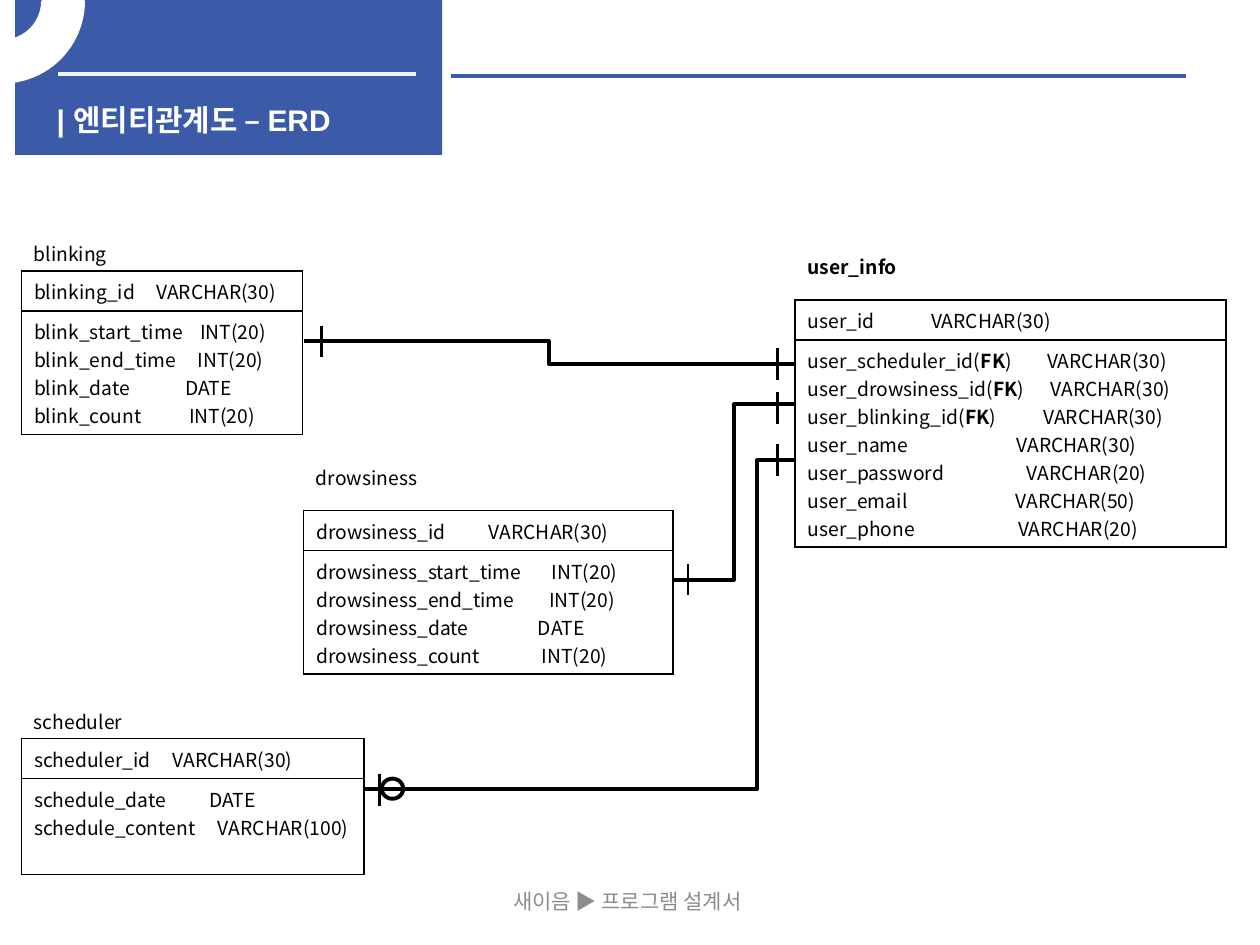
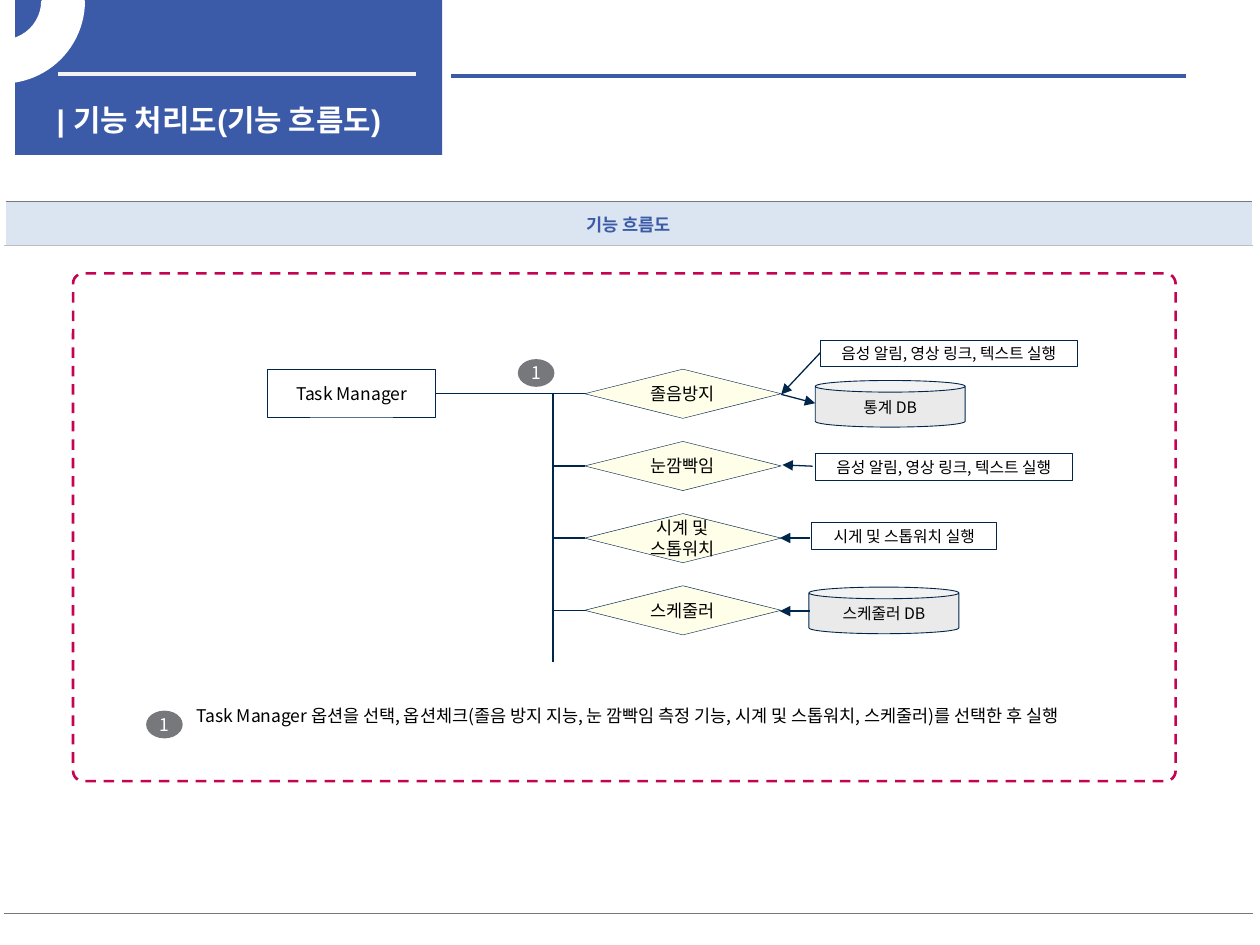
import dataclasses

import pptx
import pptx.dml.color
import pptx.enum.dml
import pptx.enum.shapes
import pptx.enum.text
import pptx.oxml.ns
import pptx.util
from lxml import etree

Inches = pptx.util.Inches
Pt = pptx.util.Pt
qn = pptx.oxml.ns.qn
Shape = pptx.enum.shapes.MSO_SHAPE
Connector = pptx.enum.shapes.MSO_CONNECTOR
Align = pptx.enum.text.PP_ALIGN
Anchor = pptx.enum.text.MSO_ANCHOR


@dataclasses.dataclass(frozen=True)
class Theme:
    font: str = "Noto Sans CJK KR"
    title_font: str = "Arial"
    blue: str = "3B5AA8"
    white: str = "FFFFFF"
    black: str = "000000"
    pale: str = "F2F2F2"
    footer: str = "8C8C8C"
    navy: str = "00264C"
    cream: str = "FFFFE9"
    silver: str = "EAEAEA"
    gray: str = "77787B"
    rule: str = "BFBFBF"
    header: str = "B9CDE5"
    crimson: str = "C40452"
    title_size: float = 17
    footer_size: float = 12
    entity_size: float = 11
    flow_size: float = 10
    detail_size: float = 9


THEME = Theme()

ERD_TITLE = "| 엔티티관계도 – ERD"
FOOTER = "새이음 ▶ 프로그램 설계서"
FK = "(FK)"

# Each field: name, type, distance of the type from the text edge in inches.
ENTITIES = [
    dict(name="user_info", bold=True, label_top=1.98, at=(6.31, 2.38), width=3.42, fields=[
        ("user_id", "VARCHAR(30)", 0.98),
        ("user_scheduler_id" + FK, "VARCHAR(30)", 1.9),
        ("user_drowsiness_id" + FK, "VARCHAR(30)", 1.93),
        ("user_blinking_id" + FK, "VARCHAR(30)", 1.87),
        ("user_name", "VARCHAR(30)", 1.66),
        ("user_password", "VARCHAR(20)", 1.74),
        ("user_email", "VARCHAR(50)", 1.65),
        ("user_phone", "VARCHAR(20)", 1.67)]),
    dict(name="drowsiness", bold=False, label_top=3.65, at=(2.41, 4.05), width=2.93, fields=[
        ("drowsiness_id", "VARCHAR(30)", 1.37),
        ("drowsiness_start_time", "INT(20)", 1.87),
        ("drowsiness_end_time", "INT(20)", 1.85),
        ("drowsiness_date", "DATE", 1.76),
        ("drowsiness_count", "INT(20)", 1.79)]),
    dict(name="blinking", bold=False, label_top=1.87, at=(0.17, 2.15), width=2.23, fields=[
        ("blinking_id", "VARCHAR(30)", 0.97),
        ("blink_start_time", "INT(20)", 1.32),
        ("blink_end_time", "INT(20)", 1.3),
        ("blink_date", "DATE", 1.2),
        ("blink_count", "INT(20)", 1.23)]),
    dict(name="scheduler", bold=False, label_top=5.59, at=(0.17, 5.86), width=2.72, fields=[
        ("scheduler_id", "VARCHAR(30)", 1.1),
        ("schedule_date", "DATE", 1.39),
        ("schedule_content", "VARCHAR(100)", 1.46)]),
]
# Start, end, and the share of the width at which the line bends.
RELATIONS = [
    ((2.41, 2.71), (6.3, 2.89), 0.5),
    ((5.34, 4.6), (6.31, 3.21), 0.5),
    ((2.89, 6.26), (6.3, 3.65), 0.915),
]
TICK_CENTERS = [(2.55, 2.71), (6.17, 3.65), (6.17, 3.24), (6.17, 2.89), (5.46, 4.6), (3.01, 6.27)]
TICK_LENGTH = 0.25
OPTIONAL_RING = (3.03, 6.18, 0.17, 0.16)

FLOW_TITLE = "| 기능 처리도(기능 흐름도)"
FLOW_HEADER = "기능 흐름도"
MANAGER = "Task Manager"
DECISIONS = ["졸음방지", "눈깜빡임", "시계 및\n스톱워치", "스케줄러"]
ALERTS = "음성 알림, 영상 링크, 텍스트 실행"
ACTIONS = [
    (ALERTS, (6.51, 2.7, 2.04, 0.21)),
    (ALERTS, (6.47, 3.6, 2.04, 0.21)),
    ("시게 및 스톱워치 실행", (6.44, 4.15, 1.47, 0.21)),
]
DATABASES = [
    ("통계 DB", (6.47, 3.02, 1.19, 0.37)),
    ("스케줄러 DB", (6.42, 4.66, 1.19, 0.37)),
]
# Each arrow: tip, tail.
ARROWS = [
    ((6.2, 3.13), (6.51, 2.8)),
    ((6.47, 3.2), (6.2, 3.13)),
    ((6.21, 3.69), (6.45, 3.7)),
    ((6.19, 4.27), (6.43, 4.27)),
    ((6.19, 4.85), (6.43, 4.85)),
]
STEP = "1"
STEP_MARKERS = [(4.11, 2.85), (1.16, 5.64)]
CAPTION = ("Task Manager 옵션을 선택, 옵션체크(졸음 방지 지능, 눈 깜빡임 측정 기능, "
           "시계 및 스톱워치, 스케줄러)를 선택한 후 실행")


def rgb(color):
    return pptx.dml.color.RGBColor.from_string(color)


def inches(values):
    return [Inches(value) for value in values]


def add_run(paragraph, text, size, color=THEME.black, bold=False, font=THEME.font):
    run = paragraph.add_run()
    run.text = text
    run.font.size = Pt(size)
    run.font.bold = bold
    run.font.color.rgb = rgb(color)
    run.font.name = font
    etree.SubElement(run.font._rPr, qn("a:ea")).set("typeface", THEME.font)


def write_lines(frame, text, size, align=Align.CENTER, **style):
    for index, line in enumerate(text.split("\n")):
        paragraph = frame.add_paragraph() if index else frame.paragraphs[0]
        paragraph.alignment = align
        add_run(paragraph, line, size, **style)


def add_text(slide, at, text, size, align=Align.LEFT, anchor=Anchor.TOP, **style):
    frame = slide.shapes.add_textbox(*inches(at)).text_frame
    frame.word_wrap = True
    frame.vertical_anchor = anchor
    write_lines(frame, text, size, align, **style)
    return frame


def add_shape(slide, kind, at, fill=None, line=None, width=0.5, text="", size=0, color=THEME.black):
    shape = slide.shapes.add_shape(kind, *inches(at))
    shape.shadow.inherit = False
    if fill:
        shape.fill.solid()
        shape.fill.fore_color.rgb = rgb(fill)
    else:
        shape.fill.background()
    if line:
        shape.line.color.rgb = rgb(line)
        shape.line.width = Pt(width)
    else:
        shape.line.fill.background()
    if text:
        frame = shape.text_frame
        frame.vertical_anchor = Anchor.MIDDLE
        frame.margin_left = frame.margin_right = Inches(0.04)
        frame.margin_top = frame.margin_bottom = Inches(0.04)
        write_lines(frame, text, size, color=color)
    return shape


def add_line(slide, start, end, color, width, kind=Connector.STRAIGHT, bend=0.5, arrow=False):
    """Draw a connector; an arrow has its tip at the start."""
    connector = slide.shapes.add_connector(kind, *inches(start + end))
    connector.line.color.rgb = rgb(color)
    connector.line.width = Pt(width)
    properties = connector.element.spPr
    if arrow:
        etree.SubElement(connector.line._get_or_add_ln(), qn("a:headEnd")).set("type", "triangle")
    if bend != 0.5:
        guide = etree.SubElement(properties.find(qn("a:prstGeom")).find(qn("a:avLst")), qn("a:gd"))
        guide.set("name", "adj1")
        guide.set("fmla", f"val {round(bend * 100000)}")
    etree.SubElement(properties, qn("a:effectLst"))


def set_borders(cell, left, right, top, bottom):
    """Give the four sides 1 pt lines; call before the cell's fill is set."""
    properties = cell._tc.get_or_add_tcPr()
    for side, color in zip("LRTB", (left, right, top, bottom)):
        line = etree.SubElement(properties, qn("a:ln" + side))
        line.set("w", str(Pt(1)))
        fill = etree.SubElement(line, qn("a:solidFill"))
        etree.SubElement(fill, qn("a:srgbClr")).set("val", color)


def add_table(slide, left, top, width, heights):
    """Add a plain one-column table and return its cells."""
    frame = slide.shapes.add_table(len(heights), 1, *inches((left, top, width, sum(heights))))
    table = frame.table
    table.first_row = table.horz_banding = False
    for row, height in zip(table.rows, heights):
        row.height = Inches(height)
    return [table.cell(row, 0) for row in range(len(heights))]


def add_field(paragraph, name, kind, tab):
    stops = etree.SubElement(paragraph._p.get_or_add_pPr(), qn("a:tabLst"))
    stop = etree.SubElement(stops, qn("a:tab"))
    stop.set("pos", str(Inches(tab)))
    stop.set("algn", "l")
    size = THEME.entity_size
    if name.endswith(FK):
        add_run(paragraph, name.removesuffix("FK)"), size)
        add_run(paragraph, "FK", size, bold=True)
        add_run(paragraph, ")\t" + kind, size)
    else:
        add_run(paragraph, f"{name}\t{kind}", size)


def add_entity(slide, entity):
    left, top = entity["at"]
    key, *others = entity["fields"]
    heights = (0.32, 0.1 + 0.22 * max(3, len(others)))
    for cell, fields in zip(add_table(slide, left, top, entity["width"], heights), ([key], others)):
        set_borders(cell, *[THEME.black] * 4)
        cell.fill.background()
        for index, field in enumerate(fields):
            frame = cell.text_frame
            add_field(frame.add_paragraph() if index else frame.paragraphs[0], *field)
    add_text(slide, (left, entity["label_top"], 1.6, 0.28), entity["name"],
             THEME.entity_size, bold=entity["bold"])


def add_heading(slide, text):
    add_shape(slide, Shape.RECTANGLE, (0.12, 0, 3.39, 1.23), fill=THEME.blue)
    add_line(slide, (0.46, 0.59), (3.3, 0.59), THEME.pale, 2.25)
    add_line(slide, (3.58, 0.6), (9.41, 0.6), THEME.blue, 2.25)
    arc = add_shape(slide, Shape.BLOCK_ARC, (-0.63, -0.63, 1.29, 1.28), THEME.white, THEME.white, 2)
    for index, value in enumerate((161.59, 0, 0.25)):
        arc.adjustments[index] = value
    arc.element.spPr.find(qn("a:xfrm")).set("flipV", "1")

    title = slide.shapes.title
    title.left, title.top, title.width, title.height = inches((0.35, 0.76, 3.07, 0.32))
    frame = title.text_frame
    frame.auto_size = pptx.enum.text.MSO_AUTO_SIZE.NONE
    frame.vertical_anchor = Anchor.TOP
    frame.margin_right = 0
    write_lines(frame, text, THEME.title_size, Align.LEFT, color=THEME.white, bold=True,
                font=THEME.title_font)
    title.element.getparent().append(title.element)  # bring in front of the band


def build_erd(slide):
    add_text(slide, (2.87, 6.95, 4.22, 0.4), FOOTER, THEME.footer_size, Align.CENTER,
             Anchor.MIDDLE, color=THEME.footer)
    for entity in ENTITIES:
        add_entity(slide, entity)
    for start, end, bend in RELATIONS:
        add_line(slide, start, end, THEME.black, 2.25, Connector.ELBOW, bend)
    for x, y in TICK_CENTERS:
        add_line(slide, (x, y - TICK_LENGTH / 2), (x, y + TICK_LENGTH / 2), THEME.black, 1.5)
    add_shape(slide, Shape.OVAL, OPTIONAL_RING, line=THEME.black, width=2.25)
    add_heading(slide, ERD_TITLE)


def build_flow(slide):
    header, body = add_table(slide, 0.04, 1.6, 9.9, (0.35, 5.3))
    set_borders(header, THEME.white, THEME.white, THEME.gray, THEME.rule)
    set_borders(body, THEME.white, THEME.white, THEME.rule, THEME.gray)
    header.fill.solid()
    header.fill.fore_color.rgb = rgb(THEME.header)
    color = header._tc.tcPr.find(qn("a:solidFill")).find(qn("a:srgbClr"))
    etree.SubElement(color, qn("a:alpha")).set("val", "50000")
    body.fill.background()
    header.vertical_anchor = Anchor.MIDDLE
    write_lines(header.text_frame, FLOW_HEADER, THEME.flow_size, color=THEME.blue, bold=True)

    frame = add_shape(slide, Shape.ROUNDED_RECTANGLE, (0.58, 2.17, 8.75, 4.03),
                      line=THEME.crimson, width=1.5)
    frame.adjustments[0] = 0.02
    frame.line.dash_style = pptx.enum.dml.MSO_LINE.DASH

    add_shape(slide, Shape.RECTANGLE, (2.12, 2.93, 1.34, 0.38), line=THEME.navy,
              text=MANAGER, size=THEME.flow_size)
    left, top, height, pitch, trunk = 4.64, 2.93, 0.39, 0.573, 4.39
    for index, text in enumerate(DECISIONS):
        y = top + index * pitch
        add_shape(slide, Shape.FLOWCHART_DECISION, (left, y, 1.56, height), THEME.cream,
                  THEME.navy, 0.25, text, THEME.flow_size)
        middle = y + height / 2
        add_line(slide, (trunk if index else 3.46, middle), (left, middle), THEME.navy, 0.75)
    add_line(slide, (trunk, 5.25), (trunk, top + height / 2), THEME.navy, 0.75)

    for text, at in ACTIONS:
        add_shape(slide, Shape.RECTANGLE, at, line=THEME.navy, text=text, size=THEME.detail_size)
    for text, at in DATABASES:
        add_shape(slide, Shape.CAN, at, THEME.silver, THEME.navy, text=text, size=THEME.detail_size)
    for tip, tail in ARROWS:
        add_line(slide, tip, tail, THEME.navy, 0.75, arrow=True)
    for at in STEP_MARKERS:
        marker = add_shape(slide, Shape.OVAL, at + (0.29, 0.22), THEME.gray, text=STEP,
                           size=THEME.flow_size, color=THEME.white)
        marker.text_frame.word_wrap = False
    caption = add_text(slide, (1.46, 5.51, 7.31, 0.49), CAPTION, THEME.flow_size).paragraphs[0]
    caption.line_spacing = 1.2
    caption.space_before = Pt(2)
    add_heading(slide, FLOW_TITLE)


def main():
    presentation = pptx.Presentation()
    presentation.slide_width, presentation.slide_height = inches((10, 7.5))
    title_only = presentation.slide_layouts[5]
    for build in (build_erd, build_flow):
        build(presentation.slides.add_slide(title_only))
    presentation.save("out.pptx")


if __name__ == "__main__":
    main()
